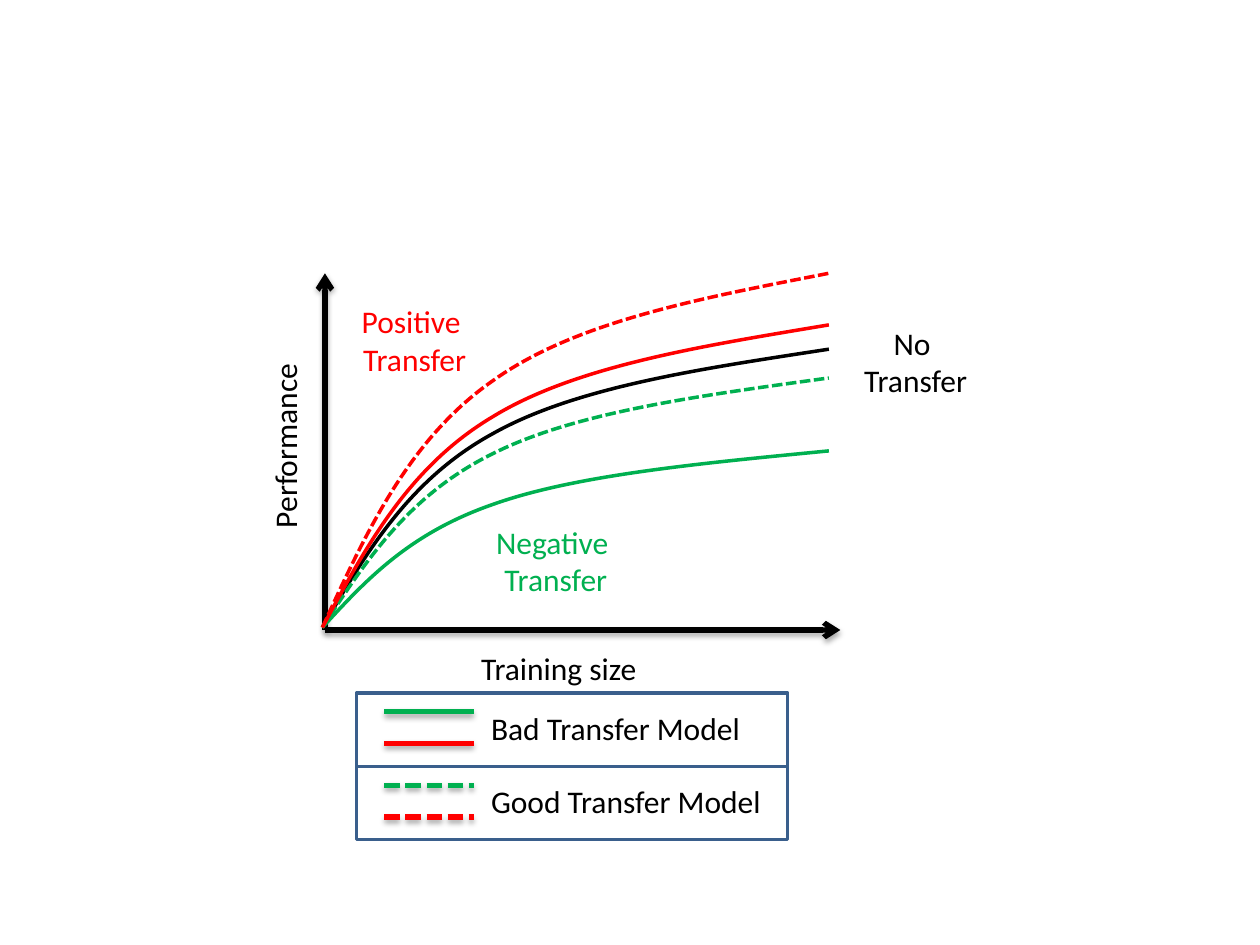
from dataclasses import dataclass

from lxml.etree import SubElement
from pptx import Presentation
from pptx.dml.color import RGBColor
from pptx.enum.dml import MSO_LINE_DASH_STYLE as Dash
from pptx.enum.shapes import MSO_CONNECTOR as Link, MSO_SHAPE as Form
from pptx.enum.text import MSO_AUTO_SIZE as Fit, PP_ALIGN as Align
from pptx.oxml.ns import qn
from pptx.util import Cm, Pt

BLACK = RGBColor(0x00, 0x00, 0x00)
RED = RGBColor(0xFF, 0x00, 0x00)
GREEN = RGBColor(0x00, 0xB0, 0x50)
BLUE = RGBColor(0x3A, 0x5F, 0x8C)

# All lengths are in centimetres.
AXIS_X, AXIS_Y = 6.55, 12.7
START_X, START_Y, SPAN = 6.5, 12.65, 10.21
# Bezier points shared by all curves, as shares of span and rise.
BEND = [(0, 0), (0.085, 0.265), (0.17, 0.53), (0.335, 0.695),
        (0.5, 0.865), (0.75, 0.93), (1, 1)]
ROW_TOP, ROW_STEP = 13.97, 1.48


@dataclass
class Curve:
    """A learning curve that ends at the given rise."""
    rise: float
    color: RGBColor
    dashed: bool = False


@dataclass
class Label:
    """A text with its box and format."""
    text: str
    box: tuple[float, float, float, float]
    color: RGBColor = BLACK
    align: Align = Align.LEFT
    turned: bool = False


@dataclass
class Row:
    """A row of the legend."""
    text: str
    width: float
    dashed: bool


CURVES = [
    Curve(5.61, BLACK),
    Curve(3.56, GREEN),
    Curve(7.14, RED, True),
    Curve(5.03, GREEN, True),
    Curve(6.1, RED),
]
LABELS = [
    Label("Training size", (9.45, 12.95, 3.68, 1.02)),
    Label("Performance", (5.23, 7.29, 1.27, 3.61), turned=True),
    Label("Positive \nTransfer", (6.99, 5.97, 2.74, 1.8), RED, Align.CENTER),
    Label("Negative \nTransfer", (9.73, 10.41, 2.95, 1.8), GREEN, Align.CENTER),
    Label("No \nTransfer", (17.15, 6.4, 2.62, 1.8), align=Align.CENTER),
]
ROWS = [
    Row("Bad Transfer Model", 5.59, False),
    Row("Good Transfer Model", 6.02, True),
]


def style(line, color: RGBColor, width: float, dashed: bool = False) -> None:
    """Set colour, width and dash of a line."""
    line.color.rgb = color
    line.width = Pt(width)
    if dashed:
        line.dash_style = Dash.SQUARE_DOT


def add_text(shapes, text: str, box: tuple, *, color: RGBColor = BLACK,
             align: Align = Align.LEFT, turned: bool = False,
             size: float = 18) -> None:
    """Add a text box that fits its text."""
    frame = shapes.add_textbox(*map(Cm, box)).text_frame
    frame.text = text
    frame.word_wrap = False
    frame.auto_size = Fit.SHAPE_TO_FIT_TEXT
    if turned:
        frame._txBody.bodyPr.set("vert", "vert270")
    for para in frame.paragraphs:
        para.alignment = align
        para.font.name = "Calibri"
        para.font.size = Pt(size)
        para.font.color.rgb = color


def add_line(shapes, ends: tuple, color: RGBColor, *,
             dashed: bool = False, arrow: bool = False) -> None:
    """Add a straight line with a soft shadow below it."""
    line = shapes.add_connector(Link.STRAIGHT, *map(Cm, ends))
    style(line.line, color, 3, dashed)
    props = line._element.spPr
    if arrow:
        SubElement(props.find(qn("a:ln")), qn("a:tailEnd"), type="arrow")
    effect = SubElement(props, qn("a:effectLst"))
    shade = SubElement(effect, qn("a:outerShdw"), blurRad="40000",
                       dist="23000", dir="5400000", rotWithShape="0")
    tint = SubElement(shade, qn("a:srgbClr"), val="000000")
    SubElement(tint, qn("a:alpha"), val="35000")


def add_curve(shapes, curve: Curve) -> None:
    """Add a curve made of two Bezier arcs."""
    first, *rest = [(Cm(START_X + u * SPAN), Cm(START_Y - v * curve.rise))
                    for u, v in BEND]
    pen = shapes.build_freeform(*first)
    pen.add_line_segments(rest, close=False)
    shape = pen.convert_to_shape()
    shape.shadow.inherit = False
    shape.fill.background()
    style(shape.line, curve.color, 2, curve.dashed)
    track = shape._element.spPr.find(".//" + qn("a:path"))
    steps = track.findall(qn("a:lnTo"))
    for i in range(0, len(steps), 3):
        arc = SubElement(track, qn("a:cubicBezTo"))
        for step in steps[i:i + 3]:
            arc.append(step[0])
            track.remove(step)


def add_row(shapes, row: Row, top: float) -> None:
    """Add a legend row with its frame, two keys and text."""
    frame = shapes.add_shape(Form.RECTANGLE, Cm(7.19), Cm(top),
                             Cm(8.69), Cm(ROW_STEP))
    frame.shadow.inherit = False
    frame.fill.background()
    style(frame.line, BLUE, 2)
    for color, drop in ((GREEN, 0.38), (RED, 1.02)):
        ends = (7.75, top + drop, 9.55, top + drop)
        add_line(shapes, ends, color, dashed=row.dashed)
    add_text(shapes, row.text, (9.65, top + 0.2, row.width, 1.02))


def main() -> None:
    """Build the slide and save it."""
    deck = Presentation()
    deck.slide_width, deck.slide_height = Cm(25.4), Cm(19.05)
    shapes = deck.slides.add_slide(deck.slide_layouts[6]).shapes
    for tip in ((16.94, AXIS_Y), (AXIS_X, 5.51)):
        add_line(shapes, (AXIS_X, AXIS_Y, *tip), BLACK, arrow=True)
    for curve in CURVES:
        add_curve(shapes, curve)
    for label in LABELS:
        add_text(shapes, label.text, label.box, color=label.color,
                 align=label.align, turned=label.turned)
    for i, row in enumerate(ROWS):
        add_row(shapes, row, ROW_TOP + i * ROW_STEP)
    deck.save("out.pptx")


main()
